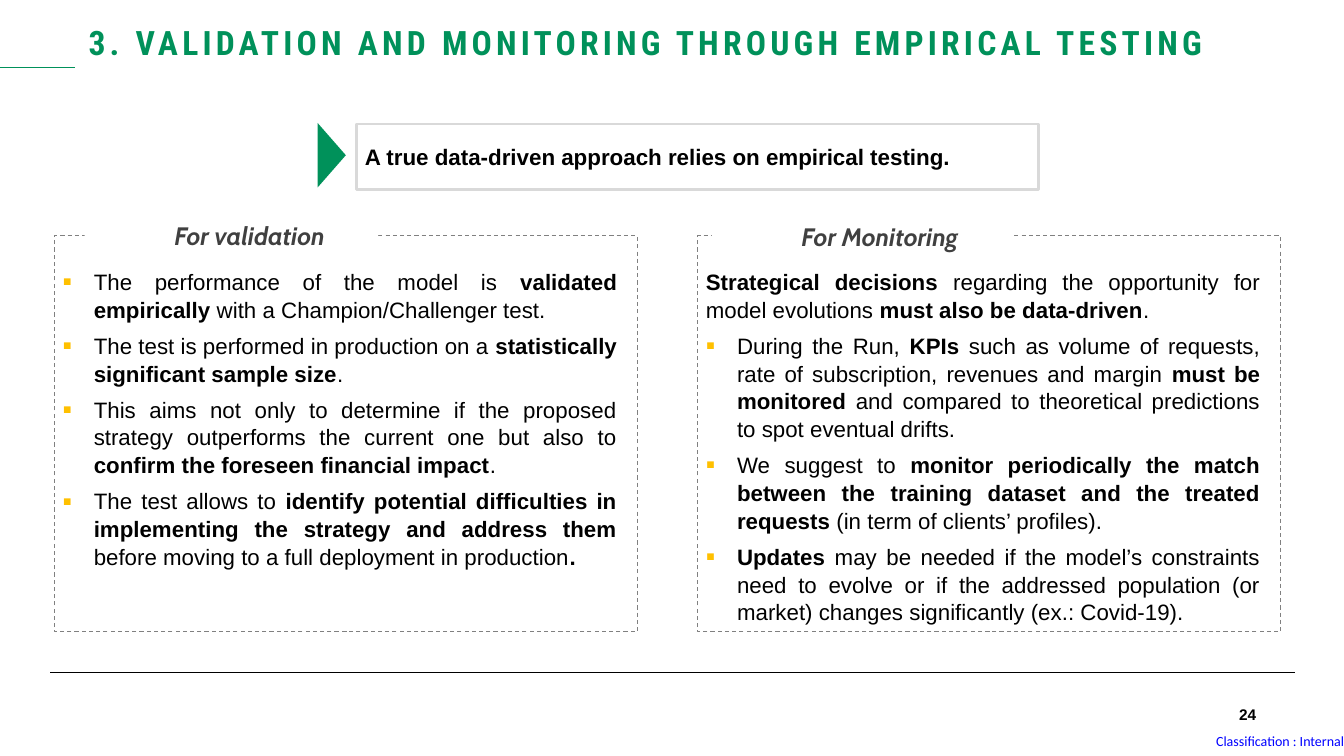
from lxml.etree import SubElement
from pptx import Presentation
from pptx.dml.color import RGBColor
from pptx.enum.dml import MSO_LINE
from pptx.enum.shapes import MSO_CONNECTOR, MSO_SHAPE as SHAPE
from pptx.enum.text import MSO_ANCHOR as ANCHOR, PP_ALIGN as ALIGN
from pptx.oxml.ns import qn
from pptx.util import Inches, Pt

GREEN, BLACK, WHITE, AMBER = "00915A", "000000", "FFFFFF", "FFC000"
WIDTH, HEIGHT = 13.33, 7.5

TITLE = "3. VALIDATION AND MONITORING THROUGH EMPIRICAL TESTING"
KEY_MESSAGE = "A true data-driven approach relies on empirical testing."
PAGE_NUMBER = "24"
CLASSIFICATION = "Classification : Internal"

# Bold wording stands between asterisks; a leading "▪" marks a bullet.
PANELS = [
    {"heading": "For validation", "label": (0.84, 2.14, 2.91, 0.4), "text": [
        "▪The performance of the model is *validated empirically *with a Champion/Challenger test.",
        "▪The test is performed in production on a *statistically significant sample size*.",
        "▪This aims not only to determine if the proposed strategy outperforms the current one "
        "but also to *confirm the foreseen financial impact*.",
        "▪The test allows to *identify potential difficulties in implementing the strategy and "
        "address them *before moving to a full deployment in production*.*",
    ]},
    {"heading": "For Monitoring", "label": (7.06, 2.15, 2.99, 0.4), "text": [
        "*Strategical decisions *regarding the opportunity for model evolutions "
        "*must also be data-driven*.",
        "▪During the Run, *KPIs* such as volume of requests, rate of subscription, revenues and "
        "margin* must be monitored *and compared to theoretical predictions to spot eventual drifts.",
        "▪We suggest to *monitor periodically the match between the training dataset and the "
        "treated requests *(in term of clients’ profiles).",
        "▪*Updates* may be needed if the model’s constraints need to evolve or if the addressed "
        "population (or market) changes significantly (ex.: Covid-19).",
    ]},
]
PANEL_LEFT, PANEL_TOP, PANEL_WIDTH, PANEL_HEIGHT = 0.54, 2.34, 5.78, 3.93
PANEL_PITCH = 6.38
PANEL_INSETS = (0.08, 0.31, 0.2, 0.23)
INDENT = 0.31


def color(value):
    return RGBColor.from_string(value)


def set_frame(shape, insets, anchor, wrap=True):
    frame = shape.text_frame
    frame.word_wrap = wrap
    frame.vertical_anchor = anchor
    (frame.margin_left, frame.margin_top,
     frame.margin_right, frame.margin_bottom) = map(Inches, insets)
    return frame


def style(run, size, name, font_color, bold=False, italic=False):
    font = run.font
    font.size, font.name, font.bold, font.italic = Pt(size), name, bold, italic
    font.color.rgb = color(font_color)


def add_shape(kind, box, fill=None, line=None, line_width=1):
    shape = slide.shapes.add_shape(kind, *map(Inches, box))
    shape.shadow.inherit = False
    if fill:
        shape.fill.solid()
        shape.fill.fore_color.rgb = color(fill)
    else:
        shape.fill.background()
    if line:
        shape.line.color.rgb = color(line)
        shape.line.width = Pt(line_width)
    else:
        shape.line.fill.background()
    return shape


def write(shape, text, font, align=ALIGN.LEFT, insets=(0, 0, 0, 0),
          anchor=ANCHOR.MIDDLE, wrap=True):
    """Put one uniformly styled line in a shape and return its paragraph."""
    paragraph = set_frame(shape, insets, anchor, wrap).paragraphs[0]
    paragraph.text = text
    paragraph.alignment = align
    style(paragraph.runs[0], *font)
    return paragraph


def add_text(box, *args, **options):
    return write(slide.shapes.add_textbox(*map(Inches, box)), *args, **options)


def add_rule(left, right, y, line_color, width):
    rule = slide.shapes.add_connector(
        MSO_CONNECTOR.STRAIGHT, *map(Inches, (left, y, right, y)))
    rule.line.color.rgb = color(line_color)
    rule.line.width = Pt(width)
    SubElement(rule._element.spPr, qn("a:effectLst"))


def set_indent(paragraph, left, first=0):
    properties = paragraph._p.get_or_add_pPr()
    properties.set("marL", str(Inches(left)))
    properties.set("indent", str(Inches(first)))
    return properties


def add_bullet(paragraph):
    properties = set_indent(paragraph, INDENT, -INDENT)
    bullet_color = SubElement(properties, qn("a:buClr"))
    SubElement(bullet_color, qn("a:srgbClr"), val=AMBER)
    SubElement(properties, qn("a:buSzPct"), val="120000")
    SubElement(properties, qn("a:buFont"), typeface="Arial")
    SubElement(properties, qn("a:buChar"), char="▪")


def add_panel(column, heading, label, text):
    box = (PANEL_LEFT + column * PANEL_PITCH, PANEL_TOP, PANEL_WIDTH, PANEL_HEIGHT)
    panel = add_shape(SHAPE.RECTANGLE, box, line="808080", line_width=0.75)
    panel.line.dash_style = MSO_LINE.DASH
    frame = set_frame(panel, PANEL_INSETS, ANCHOR.TOP)
    for index, entry in enumerate(text):
        paragraph = frame.add_paragraph() if index else frame.paragraphs[0]
        paragraph.alignment = ALIGN.JUSTIFY
        paragraph.line_spacing = 1.04
        paragraph.space_before = Pt(6 if index else 0)
        if entry.startswith("▪"):
            add_bullet(paragraph)
        for part, words in enumerate(entry.lstrip("▪").split("*")):
            if words:
                run = paragraph.add_run()
                run.text = words
                style(run, 15.9, "Arial", BLACK, bold=part % 2 == 1)
    label_shape = add_shape(SHAPE.RECTANGLE, label, fill=WHITE)
    caption = write(label_shape, heading, (18, "Cabin", "404040", True, True),
                    insets=(0.1, 0.05, 0.1, 0.05), anchor=ANCHOR.TOP)
    set_indent(caption, 0.79)


presentation = Presentation()
presentation.slide_width, presentation.slide_height = Inches(WIDTH), Inches(HEIGHT)
slide = presentation.slides.add_slide(presentation.slide_layouts[6])

add_text((WIDTH - 1.6, 7.21, 1.6, 0.29), CLASSIFICATION,
         (10, "Calibri", "0000FF"), align=ALIGN.RIGHT)
add_rule(0.5, 12.84, 6.67, BLACK, 1)
add_rule(0, 0.74, 0.67, GREEN, 0.75)

title = add_text((0.78, 0.18, 11.56, 0.47), TITLE,
                 (24, "Roboto Condensed", GREEN, True), insets=(0.1, 0.05, 0.1, 0.05))
title.runs[0].font._element.set("spc", "300")
add_text((12.2, 6.99, 0.26, 0.2), PAGE_NUMBER, (11, "Arial", BLACK, True),
         align=ALIGN.RIGHT, wrap=False)

message = add_shape(SHAPE.RECTANGLE, (3.54, 1.23, 6.76, 0.65), line="D9D9D9", line_width=2)
write(message, KEY_MESSAGE, (16, "Arial", BLACK, True), insets=(0.08, 0, 0.08, 0))
for column, panel in enumerate(PANELS):
    add_panel(column, **panel)
pointer = add_shape(SHAPE.ISOSCELES_TRIANGLE, (2.97, 1.4, 0.64, 0.28), fill=GREEN)
pointer.rotation = 90

presentation.save("out.pptx")
